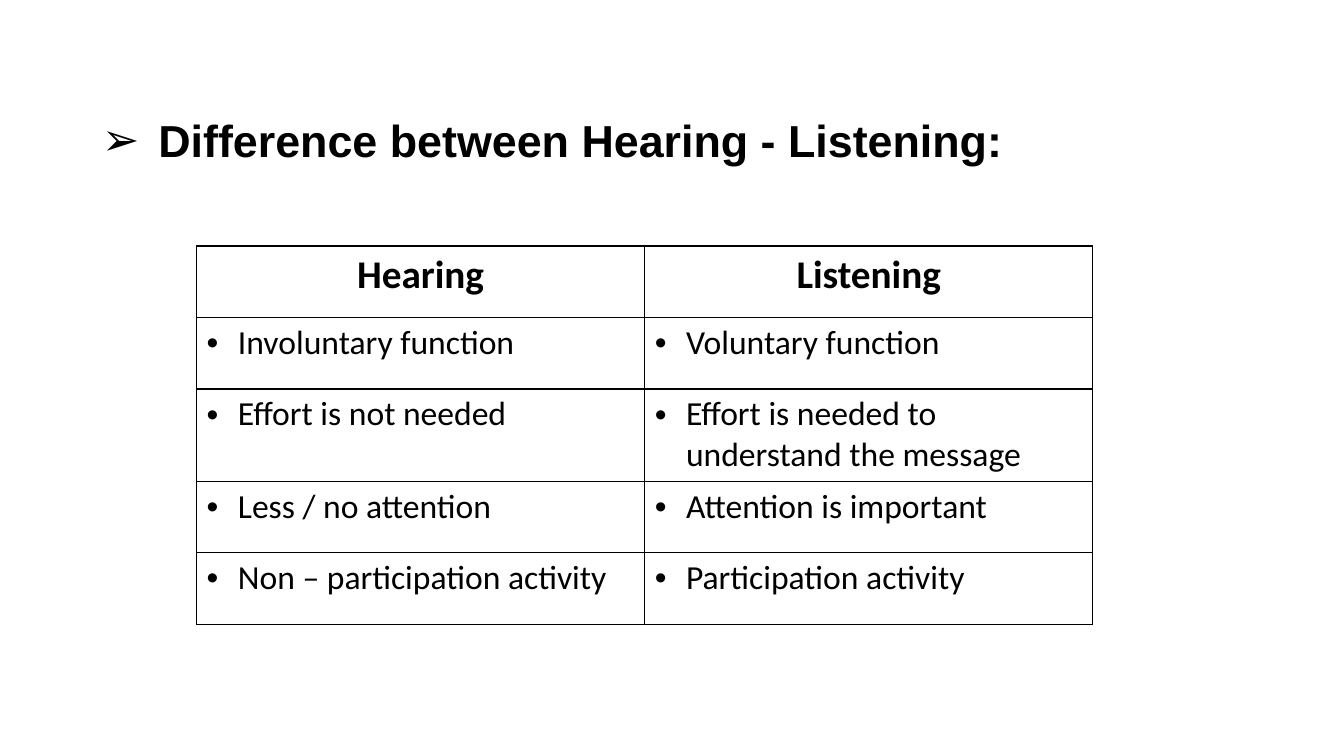
import dataclasses
import typing

import pptx
import pptx.dml.color
import pptx.enum.text
import pptx.oxml
import pptx.oxml.ns
import pptx.util

BLACK = pptx.dml.color.RGBColor(0x00, 0x00, 0x00)
WHITE = pptx.dml.color.RGBColor(0xFF, 0xFF, 0xFF)
SLIDE_WIDTH = pptx.util.Inches(13.33)
SLIDE_HEIGHT = pptx.util.Inches(7.5)
LEFT = pptx.enum.text.PP_ALIGN.LEFT
CENTER = pptx.enum.text.PP_ALIGN.CENTER


@dataclasses.dataclass(frozen=True)
class Area:
    left: float
    top: float
    width: float
    height: float

    def box(self) -> dict[str, int]:
        return {
            "left": int(SLIDE_WIDTH * self.left / 100),
            "top": int(SLIDE_HEIGHT * self.top / 100),
            "width": int(SLIDE_WIDTH * self.width / 100),
            "height": int(SLIDE_HEIGHT * self.height / 100),
        }


@dataclasses.dataclass(frozen=True)
class TextStyle:
    font: str
    size: int
    bold: bool
    alignment: typing.Any = LEFT
    bullet: str = ""
    indent: float = 0


@dataclasses.dataclass(frozen=True)
class Contrast:
    hearing: str
    listening: str


TITLE_AREA = Area(6.83, 7.87, 86.27, 14.93)
TABLE_AREA = Area(14.63, 32.53, 66.68, 47.33)
TITLE_STYLE = TextStyle("Arial", 32, True, bullet="➢", indent=0.56)
HEADER_STYLE = TextStyle("Calibri", 28, True, CENTER)
ENTRY_STYLE = TextStyle("Calibri", 24, False, bullet="•", indent=0.31)
CONTRASTS = [
    Contrast("Hearing", "Listening"),
    Contrast("Involuntary function", "Voluntary function"),
    Contrast("Effort is not needed", "Effort is needed to understand the message"),
    Contrast("Less / no attention", "Attention is important"),
    Contrast("Non – participation activity", "Participation activity"),
]


def apply_format(target: typing.Any, values: dict[str, typing.Any]) -> None:
    for name, value in values.items():
        setattr(target, name, value)


def write_text(paragraph: typing.Any, text: str, style: TextStyle) -> None:
    run = paragraph.add_run()
    run.text = text
    apply_format(run.font, {
        "name": style.font,
        "size": pptx.util.Pt(style.size),
        "bold": style.bold,
    })
    run.font.color.rgb = BLACK
    paragraph.alignment = style.alignment
    if style.bullet:
        properties = paragraph._p.get_or_add_pPr()
        indent = pptx.util.Inches(style.indent)
        properties.set("marL", str(indent))
        properties.set("indent", str(-indent))
        for tag, key, value in (("buFont", "typeface", "Arial"), ("buChar", "char", style.bullet)):
            element = pptx.oxml.parse_xml(f'<a:{tag} {pptx.oxml.ns.nsdecls("a")}/>')
            element.set(key, value)
            properties.append(element)


def draw_borders(cell: typing.Any) -> None:
    properties = cell._tc.get_or_add_tcPr()
    for side in ("lnL", "lnR", "lnT", "lnB"):
        properties.append(pptx.oxml.parse_xml(
            f'<a:{side} {pptx.oxml.ns.nsdecls("a")} w="{pptx.util.Pt(1)}">'
            f'<a:solidFill><a:srgbClr val="{BLACK}"/></a:solidFill></a:{side}>'
        ))


def draw_title(slide: typing.Any) -> None:
    title = slide.shapes.title
    apply_format(title, TITLE_AREA.box())
    apply_format(title.text_frame, {
        "vertical_anchor": pptx.enum.text.MSO_ANCHOR.BOTTOM,
        "auto_size": pptx.enum.text.MSO_AUTO_SIZE.NONE,
        "word_wrap": True,
    })
    paragraph = title.text_frame.paragraphs[0]
    paragraph.line_spacing = 0.9
    write_text(paragraph, "Difference between Hearing - Listening:", TITLE_STYLE)


def draw_table(slide: typing.Any) -> None:
    table = slide.shapes.add_table(len(CONTRASTS), 2, **TABLE_AREA.box()).table
    apply_format(table, {"first_row": False, "horz_banding": False})
    for row, contrast in enumerate(CONTRASTS):
        style = ENTRY_STYLE if row else HEADER_STYLE
        for column, text in enumerate(dataclasses.astuple(contrast)):
            cell = table.cell(row, column)
            draw_borders(cell)
            cell.fill.solid()
            cell.fill.fore_color.rgb = WHITE
            write_text(cell.text_frame.paragraphs[0], text, style)


def main() -> None:
    presentation = pptx.Presentation()
    apply_format(presentation, {"slide_width": SLIDE_WIDTH, "slide_height": SLIDE_HEIGHT})
    slide = presentation.slides.add_slide(presentation.slide_layouts.get_by_name("Title Only"))
    draw_title(slide)
    draw_table(slide)
    presentation.save("out.pptx")


if __name__ == "__main__":
    main()
